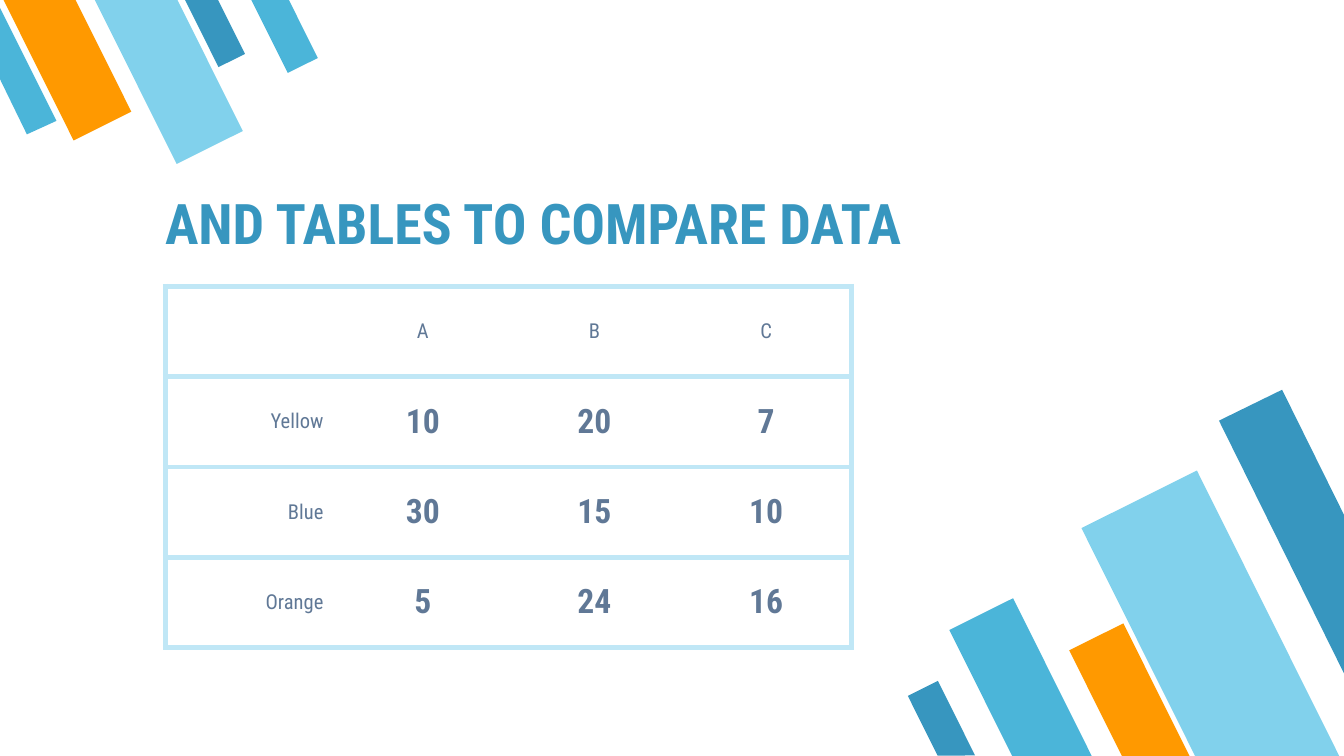
"""Build a slide with a comparison table between slanted colour bars."""
from lxml.etree import SubElement
from pptx import Presentation
from pptx.dml.color import RGBColor
from pptx.enum.shapes import MSO_SHAPE
from pptx.enum.text import MSO_ANCHOR, PP_ALIGN
from pptx.oxml.ns import qn
from pptx.util import Inches, Pt

DEEP_BLUE = RGBColor(0x37, 0x96, 0xBF)
MID_BLUE = RGBColor(0x4B, 0xB5, 0xD9)
SKY_BLUE = RGBColor(0x81, 0xD1, 0xEC)
PALE_BLUE = RGBColor(0xC0, 0xE7, 0xF6)
ORANGE = RGBColor(0xFF, 0x99, 0x00)
SLATE = RGBColor(0x60, 0x78, 0x96)

FONT = "Roboto Condensed"
TITLE = {"size": Pt(30), "bold": True}
LABEL = {"size": Pt(11), "bold": False}
NUMBER = {"size": Pt(18), "bold": True}

RISING, FALLING = 153.5, 333.5
BARS = [
    (7.33, 4.5, 0.53, 1.32, RISING, MID_BLUE),
    (8.53, 3.59, 0.96, 2.39, RISING, SKY_BLUE),
    (8.18, 4.68, 0.45, 1.11, RISING, ORANGE),
    (6.88, 5.09, 0.25, 0.62, RISING, DEEP_BLUE),
    (1.49, -0.08, 0.22, 0.56, FALLING, DEEP_BLUE),
    (0.26, -0.18, 0.48, 1.18, FALLING, ORANGE),
    (0.98, -0.2, 0.55, 1.37, FALLING, SKY_BLUE),
    (1.99, -0.1, 0.25, 0.62, FALLING, MID_BLUE),
]
EDGE_BARS = [
    ([(9.54, 2.9), (9.07, 3.13), (10, 5.01), (10, 3.83)], DEEP_BLUE),
    ([(0.2, 1), (0.42, 0.9), (0, 0.06), (0, 0.59)], MID_BLUE),
]
ROWS = [
    ["", "A", "B", "C"],
    ["Yellow", "10", "20", "7"],
    ["Blue", "30", "15", "10"],
    ["Orange", "5", "24", "16"],
]


def paint(shape, color):
    """Fill a shape with one flat colour, without line or shadow."""
    shape.shadow.inherit = False
    shape.fill.solid()
    shape.fill.fore_color.rgb = color
    shape.line.fill.background()


def add_bar(page, left, top, width, height, rotation, color):
    """Add a tilted, mirrored bar."""
    bar = page.shapes.add_shape(
        MSO_SHAPE.FLOWCHART_MANUAL_INPUT,
        Inches(left), Inches(top), Inches(width), Inches(height))
    bar.rotation = rotation
    bar.element.spPr.find(qn("a:xfrm")).set("flipH", "1")
    paint(bar, color)


def add_edge_bar(page, points, color):
    """Add a bar that is cut off by the side of the slide."""
    corners = [(Inches(x), Inches(y)) for x, y in points]
    builder = page.shapes.build_freeform(*corners[0])
    builder.add_line_segments(corners[1:], close=True)
    paint(builder.convert_to_shape(), color)


def write(frame, text, style, color, align=PP_ALIGN.LEFT):
    """Write one formatted line into a text frame."""
    para = frame.paragraphs[0]
    para.alignment = align
    span = para.add_run()
    span.text = text
    for name, value in style.items():
        setattr(span.font, name, value)
    span.font.name = FONT
    span.font.color.rgb = color


def add_title(page, text):
    """Add the slide title, resting on the bottom of its box."""
    box = page.shapes.add_textbox(Inches(1.13), Inches(1.26), Inches(6.3), Inches(0.74))
    frame = box.text_frame
    frame.word_wrap = True
    frame.vertical_anchor = MSO_ANCHOR.BOTTOM
    for side in ("left", "top", "right", "bottom"):
        setattr(frame, f"margin_{side}", Inches(0.1))
    write(frame, text, TITLE, DEEP_BLUE)


def set_borders(cell, drawn):
    """Draw the named cell sides and hide the others."""
    properties = cell._tc.get_or_add_tcPr()
    for side in "LRTB":
        line = SubElement(properties, qn(f"a:ln{side}"), w=str(Pt(3)))
        if side in drawn:
            fill = SubElement(line, qn("a:solidFill"))
            SubElement(fill, qn("a:srgbClr"), val=str(PALE_BLUE))
        else:
            SubElement(line, qn("a:noFill"))


def add_table(page, rows):
    """Add the table with ruled rows and an outer frame."""
    count = len(rows[0])
    table = page.shapes.add_table(
        len(rows), count, Inches(1.23), Inches(2.13), Inches(5.11), Inches(2.69)).table
    table.first_row = table.horz_banding = False
    for r, values in enumerate(rows):
        for c, text in enumerate(values):
            cell = table.cell(r, c)
            set_borders(cell, "TB" + "L" * (c == 0) + "R" * (c == count - 1))
            cell.fill.background()
            cell.vertical_anchor = MSO_ANCHOR.MIDDLE
            cell.margin_left = cell.margin_right = Inches(0.1)
            cell.margin_top = cell.margin_bottom = Inches(0.07)
            if text:
                style = NUMBER if r and c else LABEL
                align = PP_ALIGN.CENTER if c else PP_ALIGN.RIGHT
                write(cell.text_frame, text, style, SLATE, align)


def main():
    """Build and save the deck."""
    deck = Presentation()
    deck.slide_width = Inches(10)
    deck.slide_height = deck.slide_width * 9 // 16
    page = deck.slides.add_slide(deck.slide_layouts[6])
    for bar in BARS:
        add_bar(page, *bar)
    for points, color in EDGE_BARS:
        add_edge_bar(page, points, color)
    add_title(page, "AND TABLES TO COMPARE DATA")
    add_table(page, ROWS)
    deck.save("out.pptx")


if __name__ == "__main__":
    main()
